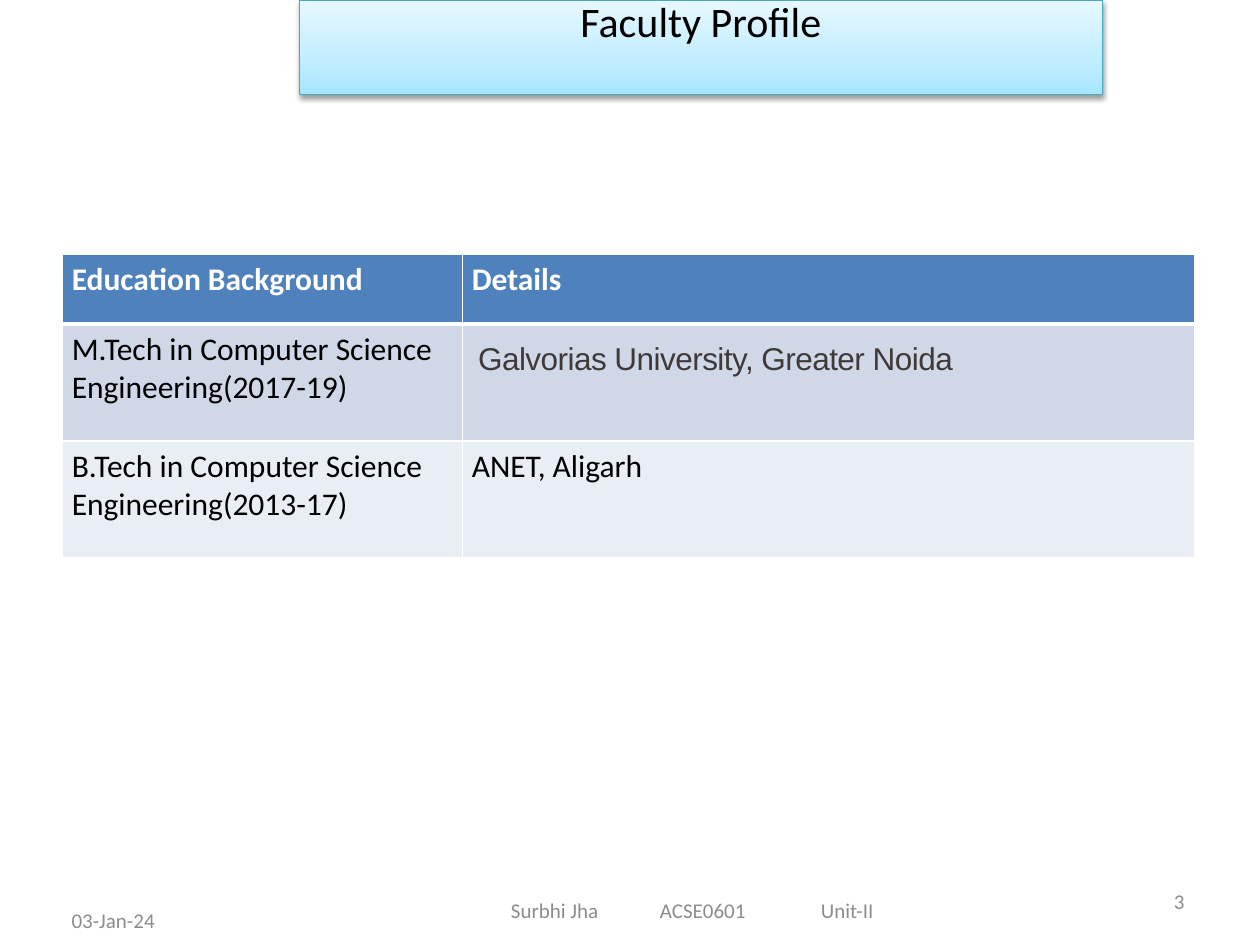
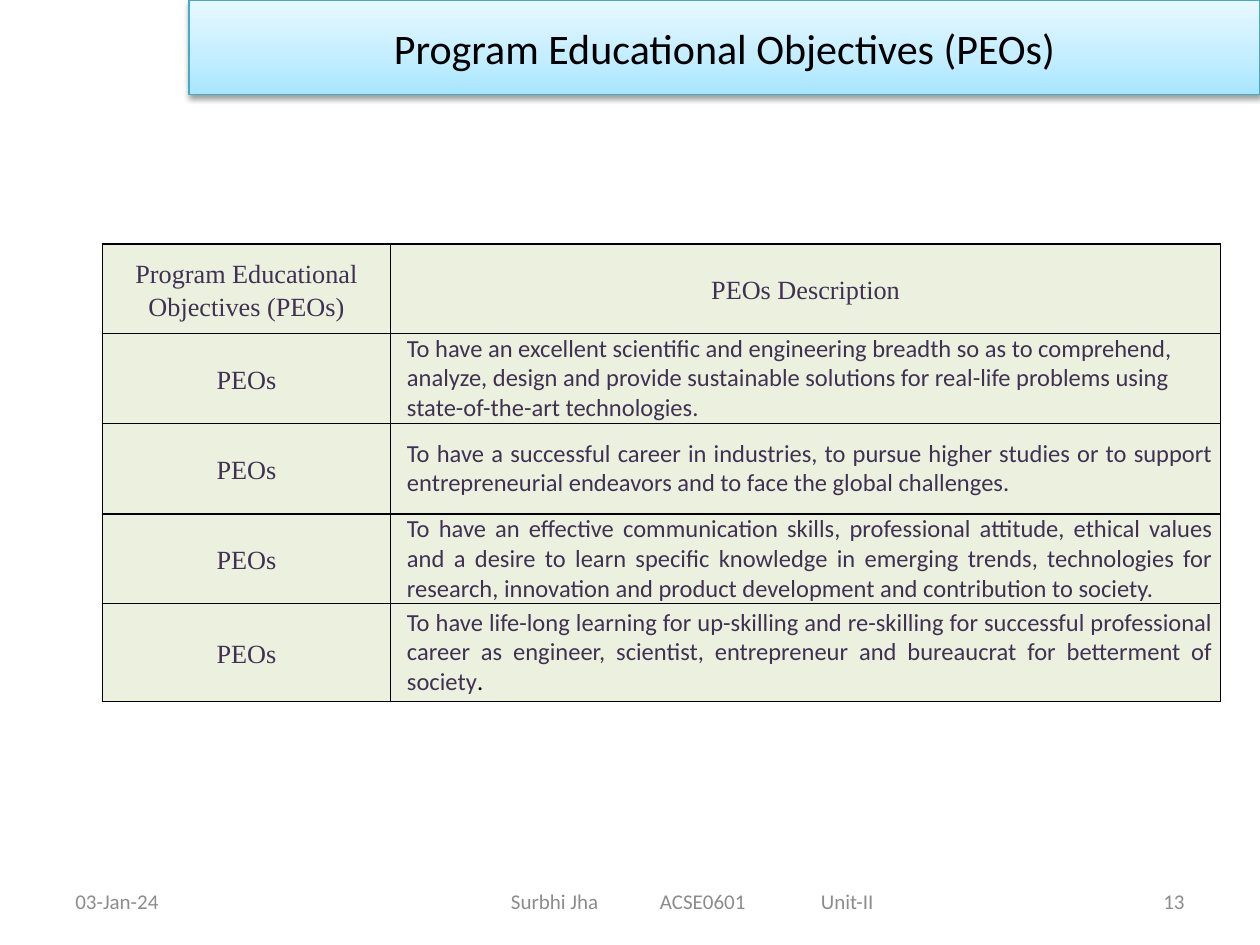
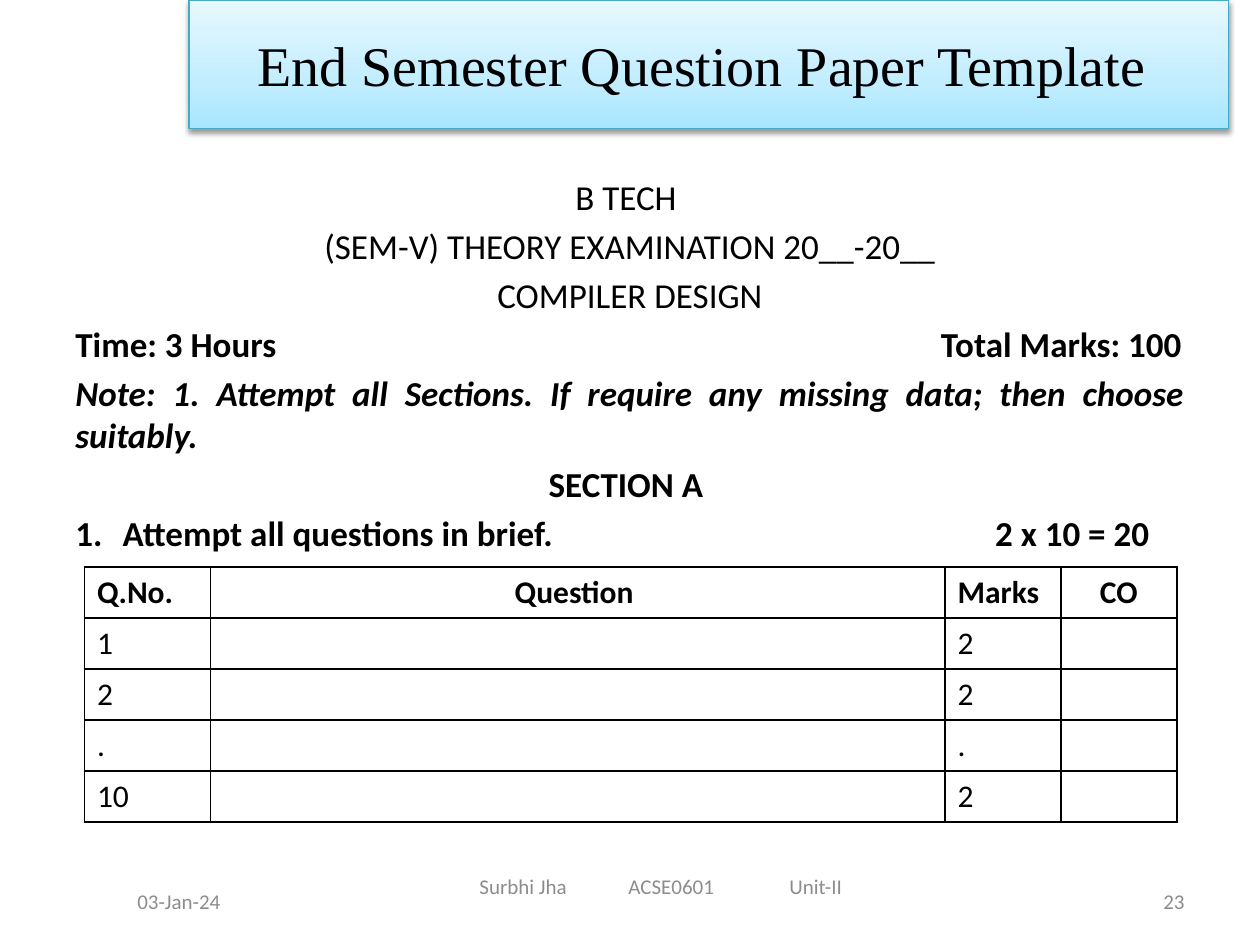
from lxml.etree import SubElement
from pptx import Presentation
from pptx.dml.color import RGBColor
from pptx.enum.shapes import MSO_SHAPE
from pptx.enum.text import MSO_ANCHOR, PP_ALIGN
from pptx.oxml.ns import qn
from pptx.util import Inches, Pt

COLS, ROWS = 40, 30
BLACK = RGBColor(0x00, 0x00, 0x00)
WHITE = RGBColor(0xFF, 0xFF, 0xFF)
GREY = RGBColor(0x8C, 0x8C, 0x8C)
BROWN = RGBColor(0x3F, 0x3A, 0x38)
PLUM = RGBColor(0x40, 0x31, 0x52)
TEAL = RGBColor(0x46, 0xAA, 0xC5)
BLUE = RGBColor(0x4F, 0x81, 0xBD)
MIST = RGBColor(0xD0, 0xD8, 0xE8)
PALE = RGBColor(0xE9, 0xED, 0xF4)
SAGE = RGBColor(0xEB, 0xF1, 0xDE)
GLOW = [
    (0, RGBColor(0xA7, 0xE6, 0xFF)),
    (35, RGBColor(0xC1, 0xED, 0xFF)),
    (100, RGBColor(0xE7, 0xF8, 0xFF)),
]
SANS, SERIF, PLAIN = "Calibri", "Times New Roman", "Arial"
LEFT, MID, RIGHT, FULL = PP_ALIGN.LEFT, PP_ALIGN.CENTER, PP_ALIGN.RIGHT, PP_ALIGN.JUSTIFY
TOP, CENTER = MSO_ANCHOR.TOP, MSO_ANCHOR.MIDDLE
PAD = (0.4, 0.2, 0.4, 0.2)
SNUG = (0.3, 0.2, 0.3, 0.2)
DATE = "03-Jan-24"
FOOT = "Surbhi Jha\tACSE0601\tUnit-II"


class Deck:
    def __init__(self):
        self.show = Presentation()
        self.show.slide_width = Inches(10)
        self.show.slide_height = Inches(7.5)
        self.col = self.show.slide_width / COLS
        self.row = self.show.slide_height / ROWS

    def page(self):
        self.slide = self.show.slides.add_slide(self.show.slide_layouts[6])

    def place(self, left, top, width, height):
        return (round(left * self.col), round(top * self.row),
                round(width * self.col), round(height * self.row))

    def inset(self, host, pad):
        sides = ("margin_left", "margin_top", "margin_right", "margin_bottom")
        for side, size in zip(sides, pad):
            setattr(host, side, round(size * self.col))

    def color(self, node, shade):
        return SubElement(node, qn("a:srgbClr"), val=str(shade))

    def para(self, para, text, size, font=SANS, shade=BLACK, bold=False, slant=False,
             align=LEFT, lead=None, before=0, indent=0, tabs=(), track=0):
        para.alignment = align
        para.space_before = Pt(before)
        if lead:
            para.line_spacing = lead
        props = para._p.get_or_add_pPr()
        if indent:
            props.set("marL", str(round(indent * self.col)))
            props.set("indent", "0")
        if tabs:
            stops = SubElement(props, qn("a:tabLst"))
            for stop, kind in tabs:
                SubElement(stops, qn("a:tab"), pos=str(round(stop * self.col)), algn=kind)
        parts = [(text, shade)] if isinstance(text, str) else text
        for words, tint in parts:
            run = para.add_run()
            run.text = words
            run.font.size = Pt(size)
            run.font.name = font
            run.font.bold = bold
            run.font.italic = slant
            run.font.color.rgb = tint
            if track:
                run._r.get_or_add_rPr().set("spc", str(track))

    def text(self, at, lines, anchor=CENTER, pad=PAD):
        frame = self.slide.shapes.add_textbox(*self.place(*at)).text_frame
        frame.word_wrap = True
        frame.vertical_anchor = anchor
        self.inset(frame, pad)
        for spot, line in enumerate(lines):
            para = frame.add_paragraph() if spot else frame.paragraphs[0]
            self.para(para, **line)

    def title(self, at, text, size=24, font=SANS, anchor=CENTER, pad=PAD, lead=None):
        band = self.slide.shapes.add_shape(MSO_SHAPE.RECTANGLE, *self.place(*at))
        band.fill.gradient()
        band.fill.gradient_angle = 90
        stops = band._element.spPr.find(".//" + qn("a:gsLst"))
        stops.clear()
        for share, shade in GLOW:
            self.color(SubElement(stops, qn("a:gs"), pos=str(share * 1000)), shade)
        band.line.color.rgb = TEAL
        band.line.width = Pt(0.75)
        band.shadow.inherit = False
        shade = SubElement(band._element.spPr.find(qn("a:effectLst")), qn("a:outerShdw"),
                           blurRad="40000", dist="20000", dir="5400000", rotWithShape="0")
        SubElement(self.color(shade, BLACK), qn("a:alpha"), val="38000")
        frame = band.text_frame
        frame.word_wrap = True
        frame.vertical_anchor = anchor
        self.inset(frame, pad)
        self.para(frame.paragraphs[0], text, size, font, align=MID, lead=lead)

    def footer(self, page, date, foot, align=LEFT):
        self.text(date, [dict(text=DATE, size=12, shade=GREY, align=align)])
        self.text(foot, [dict(text=FOOT, size=12, shade=GREY,
                              tabs=((4.73, "l"), (9.84, "l")))], pad=(5.22, 0.2, 0, 0.2))
        self.text((28.68, 27.8, 9.32, 1.6),
                  [dict(text=page, size=12, shade=GREY, align=RIGHT)])

    def edge(self, cell, shade, widths):
        props = cell._tc.get_or_add_tcPr()
        for side, width in zip("LRTB", widths):
            line = SubElement(props, qn("a:ln" + side), w=str(Pt(width)))
            self.color(SubElement(line, qn("a:solidFill")), shade)

    def table(self, left, top, cols, rows, cells, fills, rule=BLACK, anchor=TOP,
              pad=PAD, head=1):
        at = self.place(left, top, sum(cols), sum(rows))
        grid = self.slide.shapes.add_table(len(rows), len(cols), *at).table
        grid.first_row = grid.horz_banding = False
        for spot, width in enumerate(cols):
            grid.columns[spot].width = round(width * self.col)
        for down, height in enumerate(rows):
            grid.rows[down].height = round(height * self.row)
            for across, look in enumerate(cells[down]):
                cell = grid.cell(down, across)
                look = dict(look)
                self.inset(cell, look.pop("pad", pad))
                cell.vertical_anchor = anchor
                upper = head if down == 1 else 1
                lower = head if down == 0 else 1
                self.edge(cell, rule, (1, 1, upper, lower))
                cell.fill.solid()
                cell.fill.fore_color.rgb = fills[down]
                if look["text"]:
                    self.para(cell.text_frame.paragraphs[0], **look)


def staff(deck):
    deck.page()
    deck.title((9.5, 0, 25.5, 3), "Faculty Profile", anchor=TOP,
               pad=(0.4, 0.04, 0.4, 0), lead=0.9)
    deck.footer("3", (1.88, 28.4, 9.32, 1.6), (11, 27.8, 22, 2.2))
    cells = [[dict(text=word, size=18, shade=WHITE, bold=True)
              for word in ("Education Background", "Details")],
             [dict(text="M.Tech in Computer Science Engineering(2017-19)", size=18),
              dict(text="Galvorias University, Greater Noida", size=18, font=PLAIN,
                   shade=BROWN, lead=1.5, track=-30, pad=(0.5, 0, 0, 0))],
             [dict(text=word, size=18) for word in
              ("B.Tech in Computer Science Engineering(2013-17)", "ANET, Aligarh")]]
    deck.table(1.98, 8.08, (12.7, 23.24), (2.2, 3.72, 3.72), cells, (BLUE, MIST, PALE),
               rule=WHITE, pad=SNUG, head=3)


def goals(deck):
    deck.page()
    deck.title((6, 0, 34, 3), "Program Educational Objectives (PEOs)")
    deck.footer("13", (2, 27.8, 9.32, 1.6), (11, 27.8, 22, 1.6))
    label = dict(size=15, font=SERIF, shade=PLUM, align=MID, lead=1.15)
    goal = dict(size=14, shade=PLUM, indent=0.28)
    aims = [
        "To have an excellent scientific and engineering breadth so as to comprehend, "
        "analyze, design and provide sustainable solutions for real-life problems using "
        "state-of-the-art technologies.",
        "To have a successful career in industries, to pursue higher studies or to support "
        "entrepreneurial endeavors and to face the global challenges.",
        "To have an effective communication skills, professional attitude, ethical values "
        "and a desire to learn specific knowledge in emerging trends, technologies for "
        "research, innovation and product development and contribution to society.",
        [("To have life-long learning for up-skilling and re-skilling for successful "
          "professional career as engineer, scientist, entrepreneur and bureaucrat for "
          "betterment of society", PLUM), (".", BLACK)],
    ]
    cells = [[dict(label, text=word) for word in
              ("Program Educational Objectives (PEOs)", "PEOs Description")]]
    for spot, aim in enumerate(aims):
        cells.append([dict(label, text="PEOs"),
                      dict(goal, text=aim, align=FULL if spot else LEFT)])
    deck.table(3.25, 7.74, (9.15, 26.35), (2.85, 2.85, 2.88, 2.85, 3.1), cells,
               [SAGE] * 5, anchor=CENTER, pad=(0.24, 0, 0.24, 0))


def paper(deck):
    deck.page()
    deck.title((6, 0, 33, 4.08), "End Semester Question Paper Template ", 32, SERIF)
    deck.footer("23", (2.68, 27.8, 6, 1.6), (10, 27.32, 22, 1.6), MID)
    base = dict(size=20, before=4)
    strong = dict(base, bold=True)
    lines = [dict(base, text=word, align=MID) for word in
             ("B TECH ", "(SEM-V) THEORY EXAMINATION 20__-20__", "COMPILER DESIGN")]
    lines += [
        dict(strong, text="Time: 3 Hours\tTotal Marks: 100", tabs=((35.12, "r"),)),
        dict(strong, text="Note: 1. Attempt all Sections. If require any missing data; "
             "then choose suitably.", slant=True, align=FULL),
        dict(strong, text="SECTION A ", align=MID),
        dict(strong, text="1.\tAttempt all questions in brief.\t2 x 10 = 20",
             tabs=((1.5, "l"), (29.2, "l"))),
    ]
    deck.text((2, 5.36, 36, 20.8), lines, anchor=TOP)
    heads = ("Q.No.", "Question ", "Marks", "CO")
    sides = (LEFT, MID, LEFT, MID)
    cells = [[dict(text=word, size=18, bold=True, align=side)
              for word, side in zip(heads, sides)]]
    for mark, score in (("1", "2"), ("2", "2"), (".", "."), ("10", "2")):
        cells.append([dict(text=word, size=18) for word in (mark, "", score, "")])
    deck.table(2.68, 18, (4, 23.32, 3.68, 3.68), [1.62] * 5, cells, [WHITE] * 5)


def main():
    deck = Deck()
    for build in (staff, goals, paper):
        build(deck)
    deck.show.save("out.pptx")


if __name__ == "__main__":
    main()
